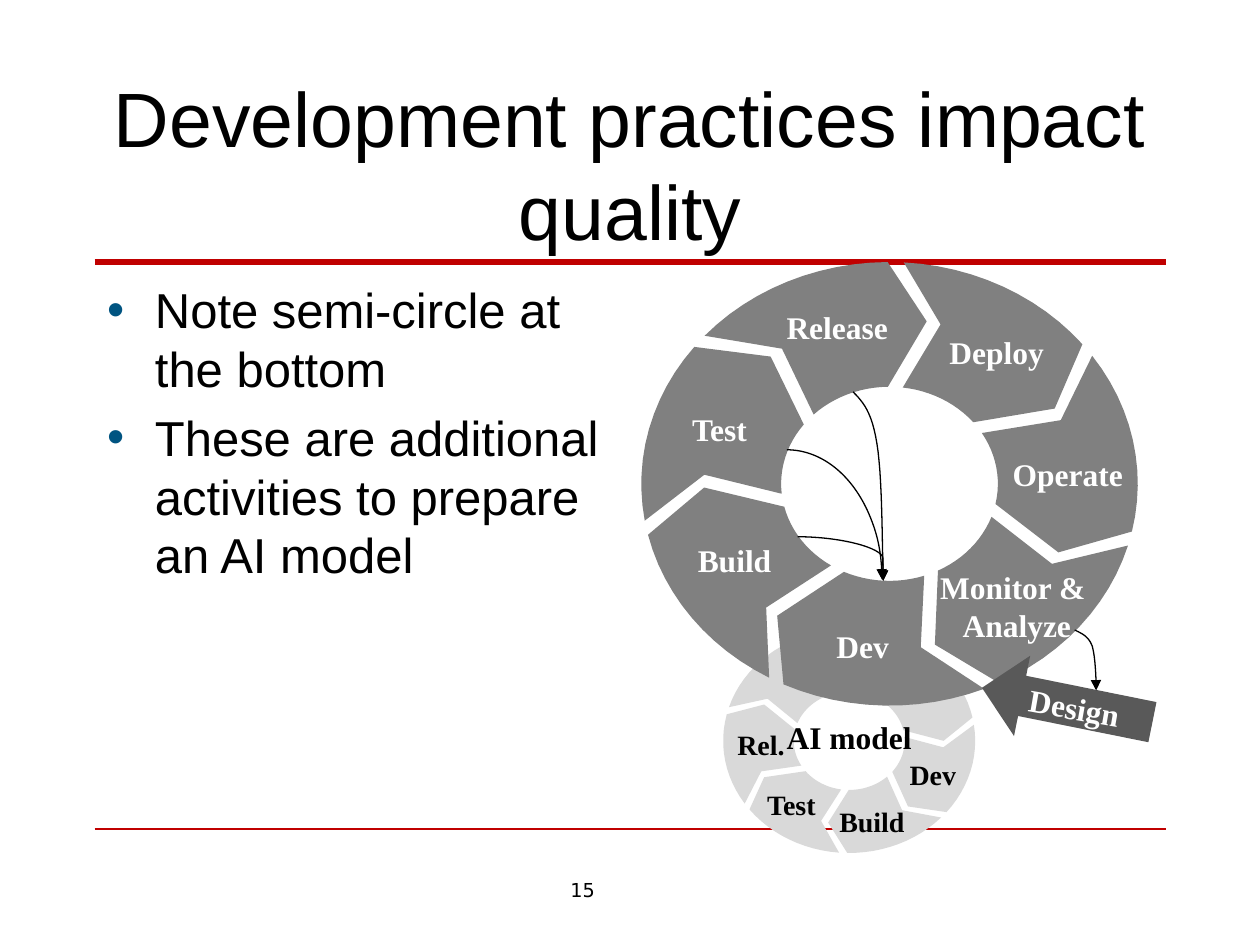
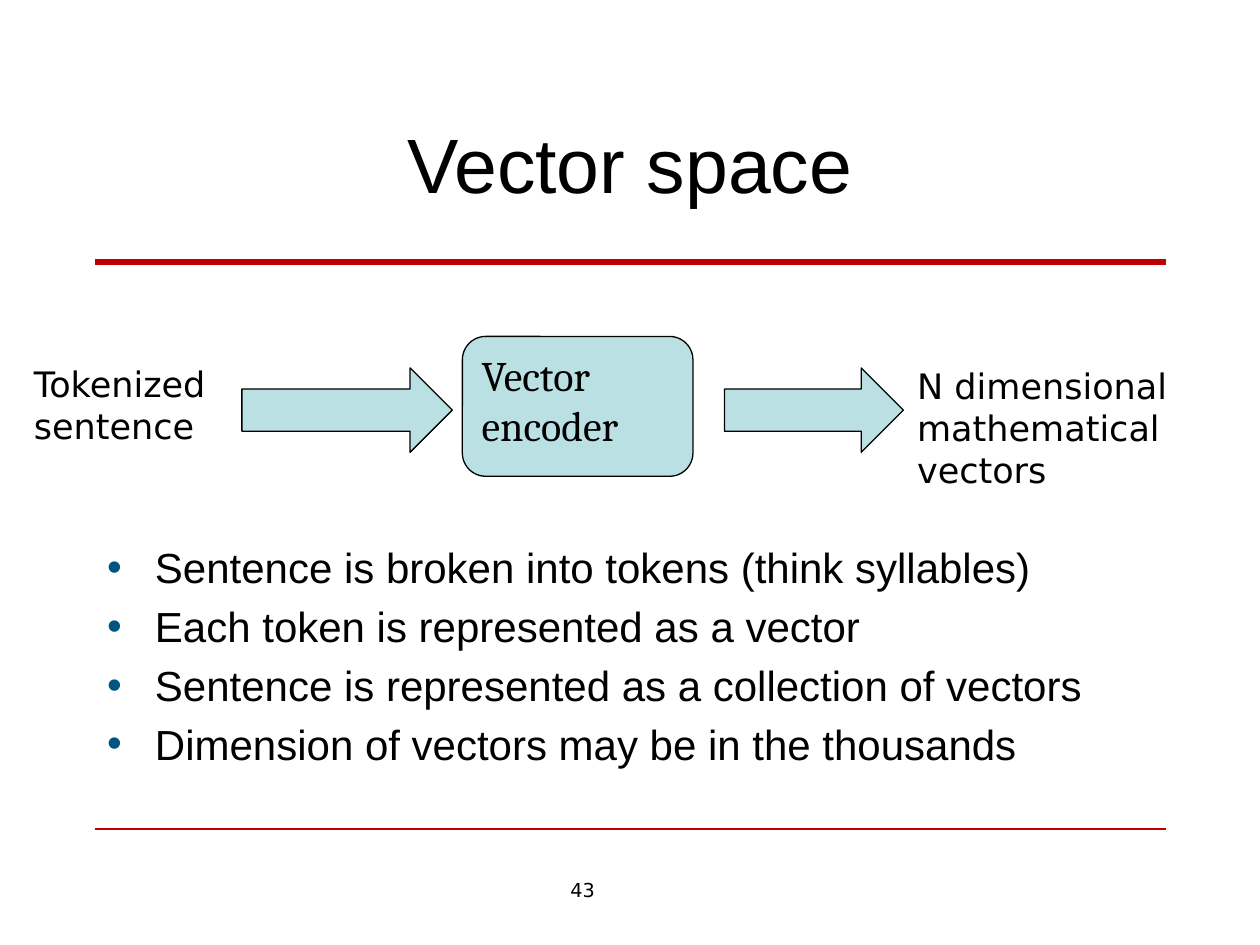
"""Build two lecture slides: an AI development life cycle and a vector space."""
import math

import pptx
import pptx.dml.color
import pptx.enum.shapes
import pptx.enum.text
import pptx.oxml.ns
import pptx.util
from lxml import etree

Inches = pptx.util.Inches
RGB = pptx.dml.color.RGBColor
SHAPE = pptx.enum.shapes.MSO_SHAPE
CONNECTOR = pptx.enum.shapes.MSO_CONNECTOR
ANCHOR = pptx.enum.text.MSO_ANCHOR
ALIGN = pptx.enum.text.PP_ALIGN
qn = pptx.oxml.ns.qn

BLACK = RGB(0x00, 0x00, 0x00)
WHITE = RGB(0xFF, 0xFF, 0xFF)
RED = RGB(0xC0, 0x00, 0x00)
BULLET = RGB(0x00, 0x54, 0x81)
RING = RGB(0x80, 0x80, 0x80)
MODEL_RING = RGB(0xD9, 0xD9, 0xD9)
DESIGN = RGB(0x59, 0x59, 0x59)
AQUA = RGB(0xBB, 0xE0, 0xE3)
SANS, SERIF, PLAIN = "Arial", "Times New Roman", "DejaVu Sans"


def write(p, text, size=18, font=SERIF, color=BLACK, bold=False, align=ALIGN.LEFT):
    p.text = text
    p.alignment = align
    for r in p.runs:
        r.font.size = pptx.util.Pt(size)
        r.font.name = font
        r.font.bold = bold
        r.font.color.rgb = color


def add_text(slide, text, box, anchor=ANCHOR.TOP, **style):
    sp = slide.shapes.add_textbox(*map(Inches, box))
    sp.text_frame.word_wrap = True
    sp.text_frame.vertical_anchor = anchor
    write(sp.text_frame.paragraphs[0], text, **style)
    return sp


prs = pptx.Presentation()
prs.slide_width, prs.slide_height = Inches(10), Inches(7.5)

pages = [
    ("Development practices impact quality", "15", (0.75, 2.17, 4.25, 4.42), 28, [
        "Note semi-circle at the bottom",
        "These are additional activities to prepare an AI model"]),
    ("Vector space", "43", (0.75, 4.25, 8.5, 2.33), 24, [
        "Sentence is broken into tokens (think syllables)",
        "Each token is represented as a vector",
        "Sentence is represented as a collection of vectors",
        "Dimension of vectors may be in the thousands"]),
]
for title, number, body_box, size, items in pages:
    s = prs.slides.add_slide(prs.slide_layouts[1])
    head, body = s.placeholders
    for sp, box in ((head, (0.75, 0.67, 8.5, 1.25)), (body, body_box)):
        sp.left, sp.top, sp.width, sp.height = map(Inches, box)
        sp.text_frame.auto_size = pptx.enum.text.MSO_AUTO_SIZE.NONE
    head.text_frame.vertical_anchor = ANCHOR.MIDDLE
    write(head.text_frame.paragraphs[0], title, size=44, font=SANS, align=ALIGN.CENTER)

    tf = body.text_frame
    for i, item in enumerate(items):
        p = tf.add_paragraph() if i else tf.paragraphs[0]
        write(p, item, size=size, font=SANS)
        p.space_before = pptx.util.Pt(size * 0.2)
        pPr = p._p.get_or_add_pPr()
        pPr.set("marL", str(Inches(0.38)))
        pPr.set("indent", str(Inches(-0.38)))
        etree.SubElement(etree.SubElement(pPr, qn("a:buClr")), qn("a:srgbClr"), val=str(BULLET))
        etree.SubElement(pPr, qn("a:buFont"), typeface=SANS)
        etree.SubElement(pPr, qn("a:buChar"), char="•")

    for y, weight in ((2.08, 3), (6.58, 1)):
        rule = s.shapes.add_connector(
            CONNECTOR.STRAIGHT, Inches(0.75), Inches(y), Inches(9.25), Inches(y))
        rule.line.color.rgb = RED
        rule.line.width = pptx.util.Pt(weight)
        etree.SubElement(rule.element.spPr, qn("a:effectLst"))
    add_text(s, number, (4, 6.92, 1.25, 0.29), size=11, font=PLAIN, align=ALIGN.CENTER)

cycle, vectors = prs.slides

STAGES = 7
ARC_STEPS = 12
rings = [
    (6.74, 5.88, (1.0, 0.89), (0.44, 0.39), 27, MODEL_RING),
    (7.06, 3.84, (1.97, 1.76), (0.86, 0.77), 0, RING),
]
for cx, cy, outer, inner, turn, color in rings:
    middle = [1.04 * (a + b) / 2 for a, b in zip(outer, inner)]
    for stage in range(STAGES):
        start = turn + stage * 360 / STAGES
        steps = [i / ARC_STEPS for i in range(ARC_STEPS + 1)]
        outline = [(inner, 7 + 43.6 * t) for t in steps]
        outline.append((middle, 63))
        outline += [(outer, 51 - 47.7 * t) for t in steps]
        outline.append((middle, 16))
        points = []
        for (rx, ry), angle in outline:
            a = math.radians(start + angle)
            points.append((Inches(cx + rx * math.sin(a)), Inches(cy - ry * math.cos(a))))
        fb = cycle.shapes.build_freeform(*points[0], scale=1.0)
        fb.add_line_segments(points[1:], close=True)
        sp = fb.convert_to_shape()
        sp.shadow.inherit = False
        sp.fill.solid()
        sp.fill.fore_color.rgb = color
        sp.line.fill.background()

sp = cycle.shapes.add_shape(
    SHAPE.LEFT_ARROW, Inches(7.78), Inches(5.27), Inches(1.38), Inches(0.65))
sp.rotation = 11.4
sp.shadow.inherit = False
sp.fill.solid()
sp.fill.fore_color.rgb = DESIGN
sp.line.fill.background()

stage_labels = [
    ("Deploy", (7.31, 2.61, 1.2, 0.37), 18, WHITE),
    ("Operate", (7.89, 3.58, 1.17, 0.37), 18, WHITE),
    ("Build", (5.36, 4.26, 0.94, 0.37), 18, WHITE),
    ("Release", (5.98, 2.41, 1.33, 0.37), 18, WHITE),
    ("Monitor & \nAnalyze", (7.34, 4.49, 1.46, 0.64), 18, WHITE),
    ("Test", (5.3, 3.22, 0.82, 0.37), 18, WHITE),
    ("AI model", (6.14, 5.53, 1.2, 0.64), 18, BLACK),
    ("Build", (6.45, 6.35, 0.94, 0.33), 16, BLACK),
    ("Test", (5.87, 6.22, 0.82, 0.33), 16, BLACK),
    ("Rel.", (5.57, 5.74, 0.94, 0.33), 16, BLACK),
]
for text, box, size, color in stage_labels:
    add_text(cycle, text, box, anchor=ANCHOR.MIDDLE, size=size, color=color, bold=True,
             align=ALIGN.CENTER)
add_text(cycle, "Dev", (6.54, 4.93, 0.71, 0.37), color=WHITE, bold=True)
add_text(cycle, "Dev", (7.12, 5.96, 0.71, 0.34), size=16, bold=True)
add_text(cycle, "Design", (8.07, 5.42, 0.99, 0.37), color=WHITE, bold=True).rotation = 9.9

build_arrow = cycle.shapes.add_connector(
    CONNECTOR.CURVE, Inches(6.33), Inches(4.26), Inches(7.01), Inches(4.61))
etree.SubElement(build_arrow.element.spPr, qn("a:effectLst"))
avLst = build_arrow.element.spPr.find(qn("a:prstGeom")).find(qn("a:avLst"))
etree.SubElement(avLst, qn("a:gd"), name="adj1", fmla="val 99800")

test_arrow = cycle.shapes.add_shape(
    SHAPE.ARC, Inches(5.49), Inches(3.57), Inches(1.51), Inches(2.06))
arrows = [build_arrow, test_arrow]

curves = [
    [(6.77, 3.11), (6.85, 3.19), (6.92, 3.27), (6.96, 3.52),
     (7, 3.77), (7, 4.19), (7.01, 4.61)],
    [(8.53, 5), (8.59, 5.03), (8.64, 5.05), (8.67, 5.13),
     (8.69, 5.21), (8.7, 5.34), (8.7, 5.48)],
]
for knots in curves:
    points = [tuple(map(Inches, knots[0]))]
    for first in (0, 3):
        for t in (i / ARC_STEPS for i in range(1, ARC_STEPS + 1)):
            weights = [math.comb(3, j) * t ** j * (1 - t) ** (3 - j) for j in range(4)]
            points.append(tuple(
                Inches(sum(w * k[axis] for w, k in zip(weights, knots[first:first + 4])))
                for axis in (0, 1)))
    fb = cycle.shapes.build_freeform(*points[0], scale=1.0)
    fb.add_line_segments(points[1:], close=False)
    arrows.append(fb.convert_to_shape())

for sp in arrows:
    if sp is not build_arrow:
        sp.shadow.inherit = False
        sp.fill.background()
    sp.line.color.rgb = BLACK
    sp.line.width = pptx.util.Pt(0.75)
    etree.SubElement(sp.line._get_or_add_ln(), qn("a:tailEnd"), type="triangle")

flow = [
    (SHAPE.RIGHT_ARROW, (1.92, 2.92, 1.67, 0.67), ""),
    (SHAPE.ROUNDED_RECTANGLE, (3.67, 2.67, 1.83, 1.11), "Vector encoder"),
    (SHAPE.RIGHT_ARROW, (5.75, 2.92, 1.42, 0.67), ""),
]
for kind, box, text in flow:
    sp = vectors.shapes.add_shape(kind, *map(Inches, box))
    sp.shadow.inherit = False
    sp.fill.solid()
    sp.fill.fore_color.rgb = AQUA
    sp.line.color.rgb = BLACK
    sp.line.width = pptx.util.Pt(0.75)
    if text:
        sp.text_frame.vertical_anchor = ANCHOR.TOP
        write(sp.text_frame.paragraphs[0], text, size=24, font="Cambria")
add_text(vectors, "Tokenized sentence", (0.17, 2.83, 1.58, 0.77), size=20, font=PLAIN)
add_text(vectors, "N dimensional mathematical vectors", (7.18, 2.84, 2.25, 1.11),
         size=20, font=PLAIN)

prs.save("out.pptx")
